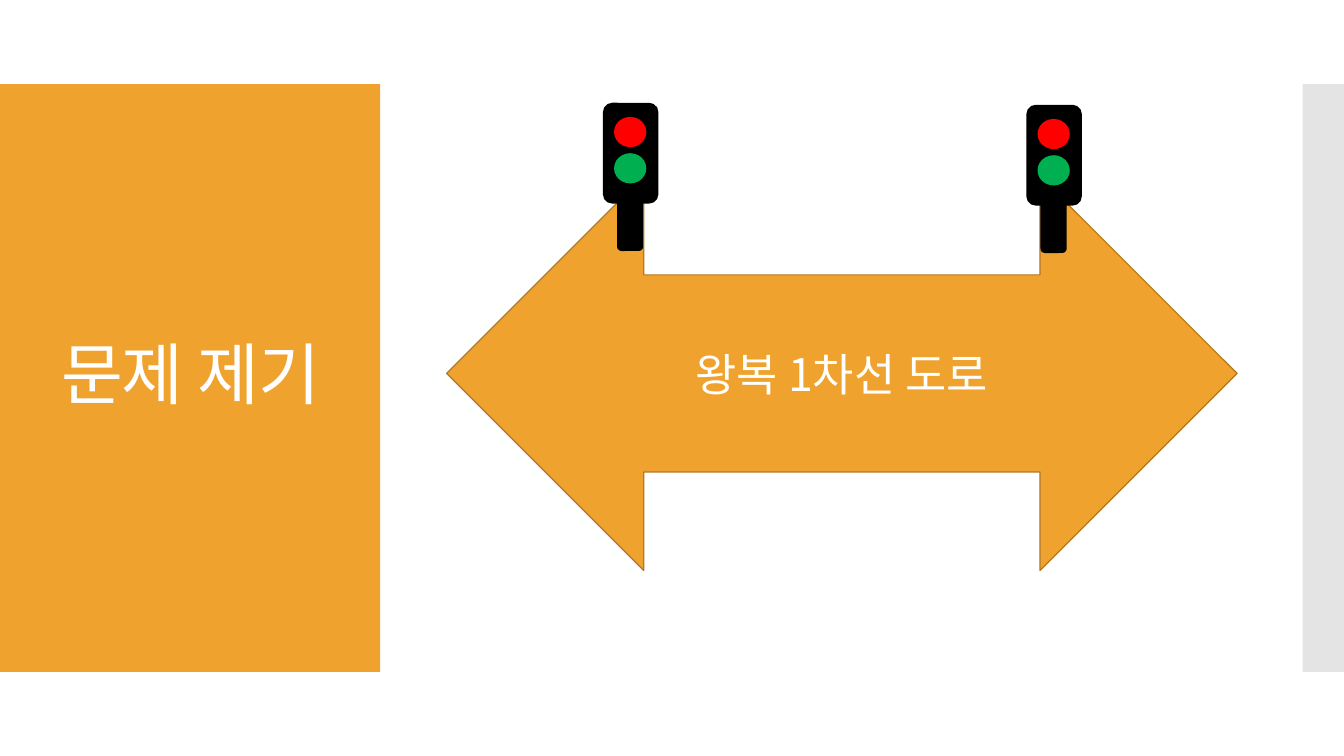
"""Build the problem statement slide: a two-way one-lane road with traffic lights."""
from lxml.etree import SubElement
from pptx import Presentation
from pptx.dml.color import RGBColor
from pptx.enum.shapes import MSO_SHAPE as Preset
from pptx.enum.text import MSO_ANCHOR as Anchor, PP_ALIGN as Align
from pptx.oxml.ns import qn
from pptx.util import Inches, Pt

COLORS = {"orange": "F0A22E", "edge": "B27822", "gray": "C8C8C8", "black": "000000",
          "red": "FF0000", "green": "00B050", "white": "FFFFFF"}
FONT = "Noto Sans CJK KR"
WIDTH, HEIGHT = 13.33, 7.5
BAND_TOP, BAND_HEIGHT = HEIGHT / 9, HEIGHT * 7 / 9

deck = Presentation()
deck.slide_width, deck.slide_height = Inches(WIDTH), Inches(HEIGHT)
slide = deck.slides.add_slide(deck.slide_layouts[6])


def add_part(preset, left, top, width, height, color):
    part = slide.shapes.add_shape(preset, *map(Inches, (left, top, width, height)))
    part.shadow.inherit = False
    part.fill.solid()
    part.fill.fore_color.rgb = RGBColor.from_string(COLORS[color])
    part.line.fill.background()
    return part


def write_label(holder, wording, size):
    frame = holder.text_frame
    frame.word_wrap = True
    frame.vertical_anchor = Anchor.MIDDLE
    line = frame.paragraphs[0]
    line.alignment = Align.CENTER
    run = line.add_run()
    run.text = wording
    run.font.size, run.font.name = Pt(size), FONT
    run.font.color.rgb = RGBColor.from_string(COLORS["white"])
    SubElement(run.font._element, qn("a:ea"), typeface=FONT)
    return line


add_part(Preset.RECTANGLE, 0, BAND_TOP, 3.77, BAND_HEIGHT, "orange")
side_band = add_part(Preset.RECTANGLE, 12.92, BAND_TOP, WIDTH - 12.92, BAND_HEIGHT, "gray")
gray = side_band.fill._xPr.find(qn("a:solidFill"))[0]
SubElement(gray, qn("a:alpha"), val="49000")

title = slide.shapes.add_textbox(*map(Inches, (0.28, 1.23, 3.22, 5.03)))
heading = write_label(title, "문제\u00a0제기", 48)
heading.line_spacing = 0.9
heading.runs[0].font._element.set("spc", "-60")

road = add_part(Preset.LEFT_RIGHT_ARROW, 4.43, 1.75, 7.84, 3.91, "orange")
road.line.color.rgb = RGBColor.from_string(COLORS["edge"])
road.line.width = Pt(0.85)
write_label(road, "왕복\u00a01차선\u00a0도로", 32)

SIGNAL_PARTS = [
    (Preset.ROUNDED_RECTANGLE, 0, 0, 0.55, 1, "black"),
    (Preset.ROUNDED_RECTANGLE, 0.14, 0.78, 0.26, 0.69, "black"),
    (Preset.OVAL, 0.11, 0.14, 0.32, 0.3, "red"),
    (Preset.OVAL, 0.11, 0.5, 0.32, 0.3, "green"),
]
for signal_left, signal_top in [(5.98, 1.02), (10.18, 1.04)]:
    for preset, dx, dy, width, height, color in SIGNAL_PARTS:
        add_part(preset, signal_left + dx, signal_top + dy, width, height, color)

deck.save("out.pptx")
